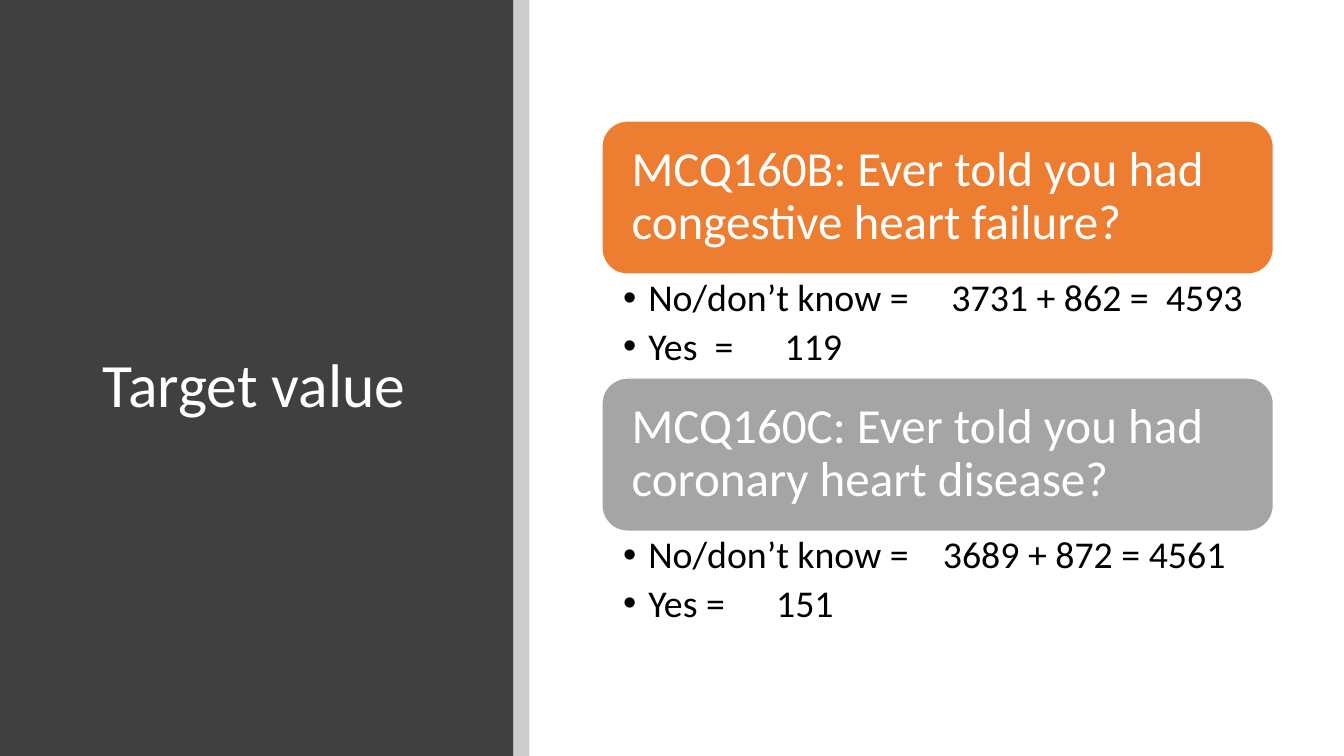
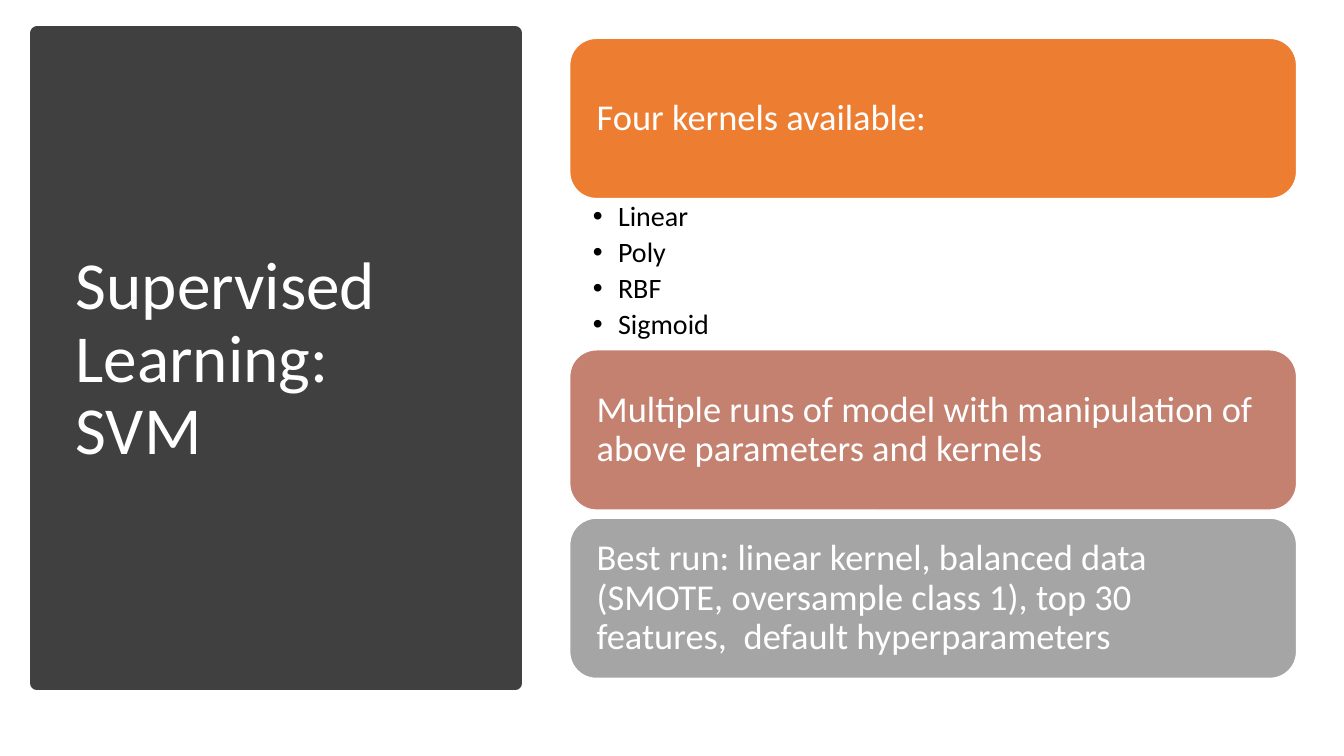
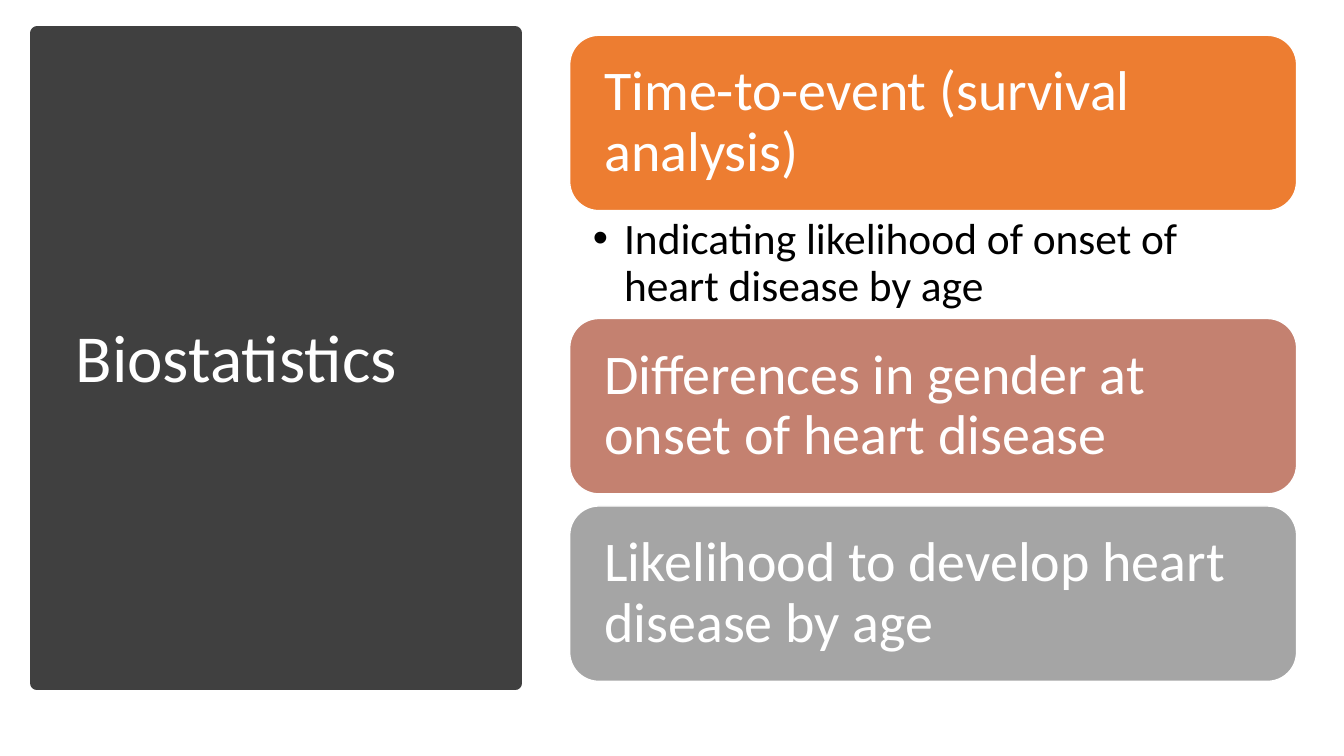
from lxml.etree import SubElement
from pptx import Presentation
from pptx.dml.color import RGBColor
from pptx.enum.shapes import MSO_SHAPE
from pptx.enum.text import MSO_ANCHOR, MSO_AUTO_SIZE, PP_ALIGN
from pptx.oxml.ns import qn
from pptx.util import Emu, Pt

FONT = "Calibri"
SPACE_WIDTH = 0.226
DARK, WHITE, BLACK = "404040", "FFFFFF", "000000"
ORANGE, ROSE, GRAY = "ED7D31", "C48170", "A5A5A5"


def px(length):
    return Emu(length * 9144)


def color(code):
    return RGBColor.from_string(code)


def apply(target, values):
    for name, value in values.items():
        setattr(target, name, value)


class Slides:
    def __init__(self):
        self.deck = Presentation()
        apply(self.deck, {"slide_width": px(1333), "slide_height": px(750)})
        self.page = None

    def new_page(self):
        self.page = self.deck.slides.add_slide(self.deck.slide_layouts[5])

    def shape(self, kind, place, fill, line=None, weight=1, alpha=None):
        shape = self.page.shapes.add_shape(kind, *map(px, place))
        shape.shadow.inherit = False
        shape.fill.solid()
        shape.fill.fore_color.rgb = color(fill)
        if line:
            shape.line.color.rgb = color(line)
            shape.line.width = Pt(weight)
        else:
            shape.line.fill.background()
        if alpha:
            tone = shape._element.spPr.find(".//" + qn("a:srgbClr"))
            SubElement(tone, qn("a:alpha"), val=str(alpha * 1000))
        return shape

    def frame(self, box, margins, anchor):
        frame = box.text_frame
        left, top, right, bottom = map(px, margins)
        apply(frame, {"word_wrap": True, "auto_size": MSO_AUTO_SIZE.NONE,
                      "vertical_anchor": anchor, "margin_left": left,
                      "margin_top": top, "margin_right": right,
                      "margin_bottom": bottom})
        return frame

    def fill_para(self, para, text, size, tone, after=0.0):
        apply(para, {"alignment": PP_ALIGN.LEFT, "line_spacing": 0.9,
                     "space_before": Pt(0), "space_after": Pt(size * after)})
        for part in (text,) if isinstance(text, str) else text:
            if part == "\n":
                para.add_line_break()
                continue
            span = para.add_run()
            span.text = part if isinstance(part, str) else " "
            apply(span.font, {"name": FONT, "size": Pt(size)})
            span.font.color.rgb = color(tone)
            if isinstance(part, int):
                extra = round((part - 1) * SPACE_WIDTH * size * 100)
                span._r.get_or_add_rPr().set("spc", str(extra))

    def title(self, text, place, size):
        title = self.page.shapes.title
        left, top, width, height = map(px, place)
        apply(title, {"left": left, "top": top, "width": width, "height": height})
        frame = self.frame(title, (10, 5, 10, 5), MSO_ANCHOR.MIDDLE)
        self.fill_para(frame.paragraphs[0], text, size, WHITE)
        self.page.shapes._spTree.append(title._element)

    def side_panel(self, text):
        self.shape(MSO_SHAPE.RECTANGLE, (37, 33, 474, 645), DARK, DARK, 10)
        self.title(text, (65, 70, 416, 575), 48)

    def card(self, text, place, fill, size, inset):
        card = self.shape(MSO_SHAPE.ROUNDED_RECTANGLE, place, fill, WHITE)
        frame = self.frame(card, (inset,) * 4, MSO_ANCHOR.MIDDLE)
        self.fill_para(frame.paragraphs[0], text, size, WHITE, 0.35)

    def bullets(self, items, place, size, margins, indent):
        box = self.page.shapes.add_textbox(*map(px, place))
        frame = self.frame(box, margins, MSO_ANCHOR.TOP)
        for index, item in enumerate(items):
            para = frame.add_paragraph() if index else frame.paragraphs[0]
            self.fill_para(para, item, size, BLACK, 0.2)
            properties = para._p.get_or_add_pPr()
            properties.set("marL", str(px(indent)))
            properties.set("indent", str(-px(indent)))
            SubElement(properties, qn("a:buFont"), typeface="Arial")
            SubElement(properties, qn("a:buChar"), char="•")

    def stack(self, sections, left, top, width, card_height, list_height, gap,
              card_size, inset, list_size, margins, indent):
        for text, fill, items in sections:
            self.card(text, (left, top, width, card_height), fill, card_size, inset)
            top += card_height
            if items:
                self.bullets(items, (left, top, width, list_height),
                             list_size, margins, indent)
            top += list_height if items else gap


def main():
    slides = Slides()

    slides.new_page()
    slides.shape(MSO_SHAPE.RECTANGLE, (0, 0, 509, 750), DARK)
    slides.shape(MSO_SHAPE.RECTANGLE, (509, 0, 16, 750), BLACK, alpha=20)
    slides.title("Target value", (92, 89, 365, 591), 44)
    slides.stack([
        ("MCQ160B: Ever told you had congestive heart failure?", ORANGE,
         [("No/don’t know =", 5, "3731 + 862 =", 2, "4593"),
          ("Yes", 2, "=", 6, "119")]),
        ("MCQ160C: Ever told you had coronary heart disease?", GRAY,
         [("No/don’t know =", 4, "3689 + 872 = 4561"),
          ("Yes =", 6, "151")]),
    ], left=597, top=120, width=666, card_height=152, list_height=103, gap=0,
        card_size=35, inset=22, list_size=27, margins=(21, 5, 27, 5), indent=25)

    slides.new_page()
    slides.side_panel(("Supervised Learning:", "\n", "SVM"))
    slides.stack([
        ("Four kernels available:", ORANGE, ["Linear", "Poly", "RBF", "Sigmoid"]),
        ("Multiple runs of model with manipulation of above parameters and kernels",
         ROSE, []),
        (("Best run: linear kernel, balanced data (SMOTE, oversample class 1), "
          "top 30 features,", 2, "default hyperparameters"), GRAY, []),
    ], left=565, top=38, width=721, card_height=159, list_height=150, gap=8,
        card_size=26, inset=19, list_size=20, margins=(23, 4, 20, 4), indent=25)

    slides.new_page()
    slides.side_panel("Biostatistics")
    slides.stack([
        ("Time-to-event (survival analysis)", ORANGE,
         ["Indicating likelihood of onset of heart disease by age"]),
        ("Differences in gender at onset of heart disease", ROSE, []),
        ("Likelihood to develop heart disease by age", GRAY, []),
    ], left=565, top=35, width=721, card_height=174, list_height=107, gap=12,
        card_size=40, inset=26, list_size=31, margins=(23, 6, 31, 6), indent=31)

    slides.deck.save("out.pptx")


if __name__ == "__main__":
    main()
